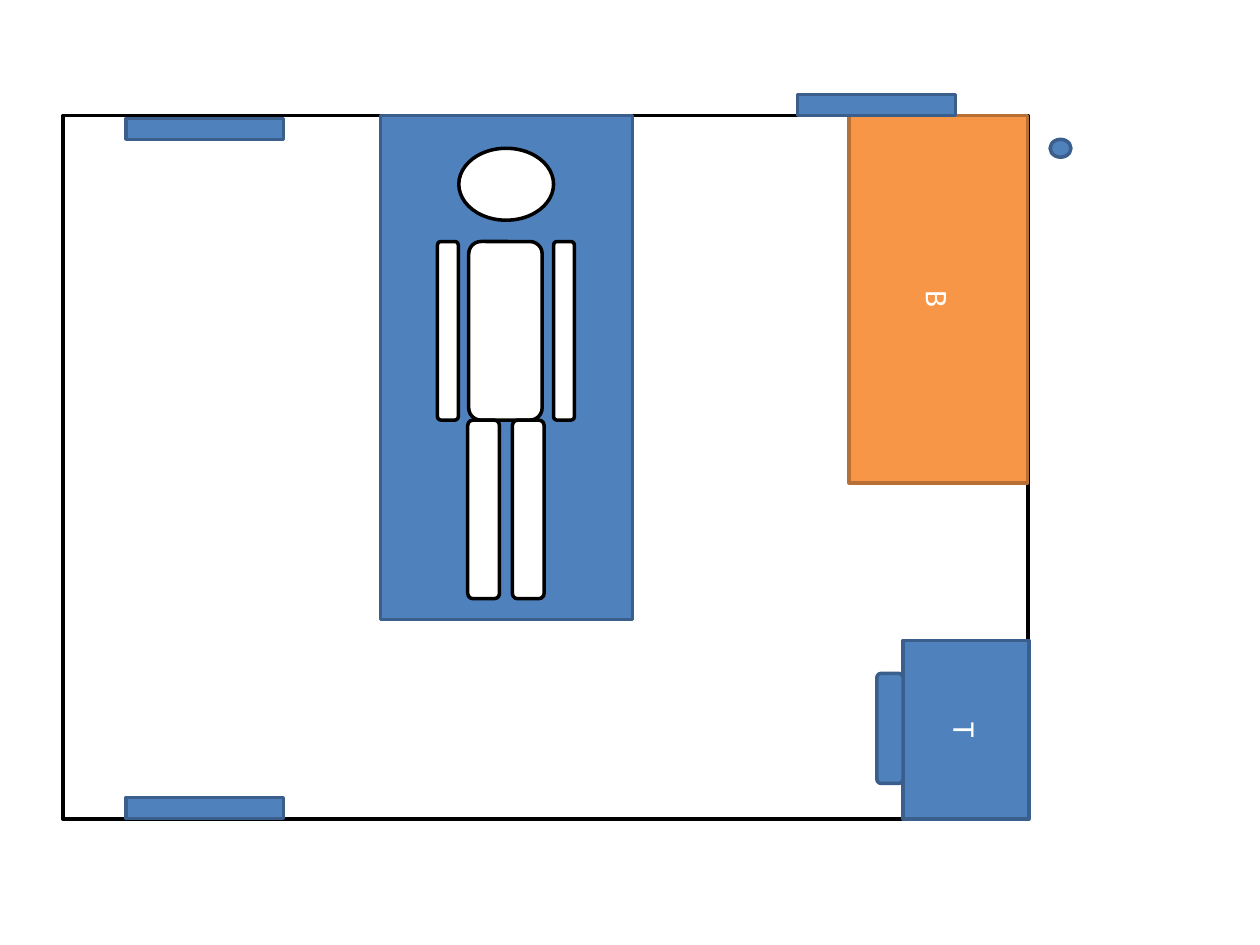
from pptx import Presentation, util as u
from pptx.dml import color
from pptx.enum import shapes, text

BLUE = ("4F81BD", "3A5F8C")
ORANGE = ("F79646", "B76F34")
WHITE = ("FFFFFF", "000000")
LIMB_LENGTH = 3.6
SHOULDER_TOP = 4.87
BODY_CENTER = 10.2


def rgb(value):
    return color.RGBColor.from_string(value)


def apply(target, values):
    for name, value in values.items():
        setattr(target, name, value)


class FloorPlan:
    font = {"name": "Calibri", "size": u.Pt(18)}
    line_width = u.Pt(2)
    kinds = {
        "rectangle": shapes.MSO_SHAPE.RECTANGLE,
        "rounded": shapes.MSO_SHAPE.ROUNDED_RECTANGLE,
        "oval": shapes.MSO_SHAPE.OVAL,
    }

    def __init__(self, slide):
        self.slide = slide

    def group(self):
        return self.slide.shapes.add_group_shape()

    def shape(self, kind, box, colors, rotation=0, parent=None):
        owner = (parent or self.slide).shapes
        shape = owner.add_shape(self.kinds[kind], *map(u.Cm, box))
        fill, line = colors
        shape.fill.solid()
        shape.fill.fore_color.rgb = rgb(fill)
        shape.line.color.rgb = rgb(line)
        shape.line.width = self.line_width
        shape.shadow.inherit = False
        shape.rotation = rotation
        return shape

    def label(self, shape, words):
        frame = shape.text_frame
        frame.vertical_anchor = text.MSO_ANCHOR.MIDDLE
        paragraph = frame.paragraphs[0]
        paragraph.alignment = text.PP_ALIGN.CENTER
        run = paragraph.add_run()
        run.text = words
        apply(run.font, self.font)
        run.font.color.rgb = rgb("FFFFFF")

    def table_with_chair(self):
        group = self.group()
        table = self.shape("rectangle", (17.67, 13.44, 3.6, 2.54), BLUE, 90, group)
        self.label(table, "T")
        self.shape("rounded", (16.83, 14.42, 2.22, 0.53), BLUE, 90, group)

    def limbs(self, group, offset, top, width):
        for side in (-1, 1):
            left = BODY_CENTER + side * offset - width / 2
            self.shape("rounded", (left, top, width, LIMB_LENGTH), WHITE, parent=group)

    def bed_with_person(self):
        group = self.group()
        self.shape("rectangle", (5.13, 4.87, 10.16, 5.08), BLUE, 270, group)
        self.shape("oval", (9.25, 2.99, 1.91, 1.45), WHITE, parent=group)
        self.shape("rounded", (9.45, SHOULDER_TOP, 1.48, LIMB_LENGTH), WHITE, parent=group)
        self.limbs(group, 0.45, SHOULDER_TOP + LIMB_LENGTH, 0.64)
        self.limbs(group, 1.17, SHOULDER_TOP, 0.42)


def main():
    presentation = Presentation()
    apply(presentation, {"slide_width": u.Cm(25.4), "slide_height": u.Cm(19.05)})
    slide = presentation.slides.add_slide(presentation.slide_layouts[6])
    plan = FloorPlan(slide)

    plan.shape("rectangle", (1.27, 2.33, 19.46, 14.18), WHITE)
    bench = plan.shape("rectangle", (15.21, 4.23, 7.41, 3.6), ORANGE, 90)
    plan.label(bench, "B")
    for left, top in ((2.54, 16.08), (16.08, 1.91), (2.54, 2.39)):
        plan.shape("rectangle", (left, top, 3.18, 0.42), BLUE)
    plan.table_with_chair()
    plan.shape("oval", (21.17, 2.81, 0.42, 0.36), BLUE)
    plan.bed_with_person()

    presentation.save("out.pptx")


if __name__ == "__main__":
    main()
